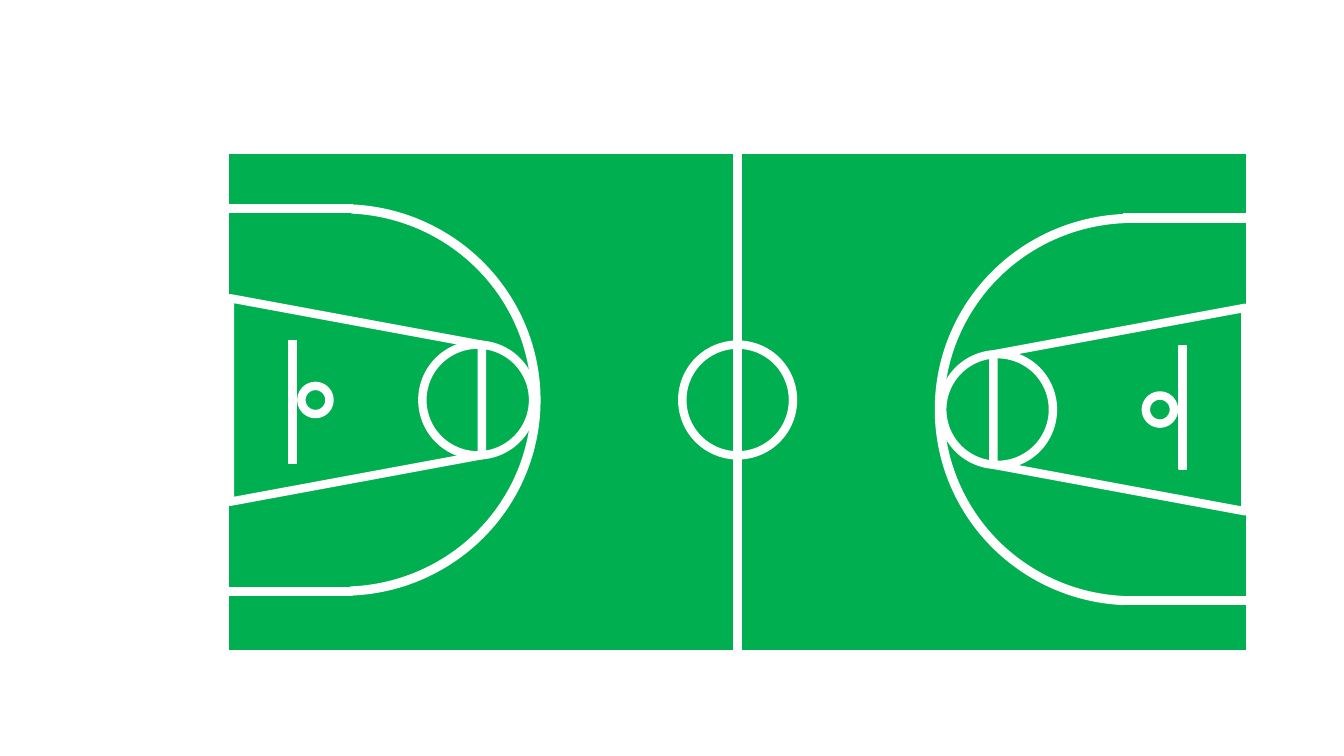
from dataclasses import dataclass

from lxml.etree import SubElement
from pptx import Presentation
from pptx.dml.color import RGBColor
from pptx.enum.shapes import MSO_CONNECTOR, MSO_SHAPE
from pptx.oxml.ns import qn
from pptx.util import Cm, Pt


@dataclass(frozen=True)
class Theme:
    floor: RGBColor = RGBColor(0x00, 0xB0, 0x50)
    marking: RGBColor = RGBColor(0xFF, 0xFF, 0xFF)
    stroke: Pt = Pt(6)
    edge: Pt = Pt(1)


THEME = Theme()
MIDDLE_X, MIDDLE_Y = 18.59, 10.13
COURT_WIDTH, COURT_HEIGHT = 25.86, 12.7
TURN_Y = 10.2  # height of the point about which one half turns into the other
CIRCLE = 2.79
HOOP = 0.71
STRIP = (3.1, 0.2)


def add_marking(court, preset, centre, size, rotation=0, fill=None,
                line_width=THEME.stroke, adjustments=()):
    """Add a white-lined shape given by its centre and size in centimetres."""
    (x, y), (width, height) = centre, size
    marking = court.shapes.add_shape(
        preset, Cm(x - width / 2), Cm(y - height / 2), Cm(width), Cm(height))
    marking.shadow.inherit = False
    marking.rotation = rotation
    for index, value in enumerate(adjustments):
        marking.adjustments[index] = value
    if fill is None:
        marking.fill.background()
    else:
        marking.fill.solid()
        marking.fill.fore_color.rgb = fill
    marking.line.color.rgb = THEME.marking
    marking.line.width = line_width
    return marking


def add_halfway_line(court, floor):
    halfway = court.shapes.add_connector(
        MSO_CONNECTOR.STRAIGHT, Cm(MIDDLE_X), floor.top,
        Cm(MIDDLE_X), floor.top + floor.height)
    halfway.begin_connect(floor, 0)
    halfway.end_connect(floor, 2)
    halfway.line.color.rgb = THEME.marking
    halfway.line.width = THEME.stroke
    SubElement(halfway._element.spPr, qn("a:effectLst"))


def add_half(court, turn):
    """Add the markings of the left half, turned by 0 or 180 degrees."""
    def place(x, y):
        return (x, y) if turn == 0 else (2 * MIDDLE_X - x, 2 * TURN_Y - y)

    def add_outline(preset, x, y, size, rotation=0, adjustments=()):
        add_marking(court, preset, place(x, y), size, rotation + turn,
                    adjustments=adjustments)

    def add_solid(preset, x, y, size, rotation=0, adjustments=()):
        add_marking(court, preset, place(x, y), size, rotation + turn,
                    THEME.marking, THEME.edge, adjustments)

    # three-point line
    add_solid(MSO_SHAPE.BLOCK_ARC, 8.65, 10.08, (9.83, 9.91), 92.6,
              (108, 213.051, 0.02))
    for corner_y in (5.26, 14.91):
        add_solid(MSO_SHAPE.RECTANGLE, 7.32, corner_y, STRIP)
    # free-throw circle and key
    add_outline(MSO_SHAPE.OVAL, 12.04, 10.08, (CIRCLE, CIRCLE))
    add_outline(MSO_SHAPE.TRAPEZOID, 8.97, 10.08, (5.13, 6.35), 90, (0.229,))
    # backboard and hoop
    add_solid(MSO_SHAPE.RECTANGLE, 7.37, 10.13, STRIP, 90)
    add_outline(MSO_SHAPE.OVAL, 7.95, 10.08, (HOOP, HOOP))


def main():
    presentation = Presentation()
    presentation.slide_width = Cm(33.87)
    presentation.slide_height = Cm(19.05)
    slide = presentation.slides.add_slide(presentation.slide_layouts[6])

    court = slide.shapes.add_group_shape()
    floor = add_marking(court, MSO_SHAPE.RECTANGLE, (MIDDLE_X, MIDDLE_Y),
                        (COURT_WIDTH, COURT_HEIGHT), fill=THEME.floor)
    add_halfway_line(court, floor)
    add_marking(court, MSO_SHAPE.OVAL, (MIDDLE_X, 10.08), (CIRCLE, CIRCLE))
    for turn in (0, 180):
        add_half(court, turn)

    presentation.save("out.pptx")


if __name__ == "__main__":
    main()
